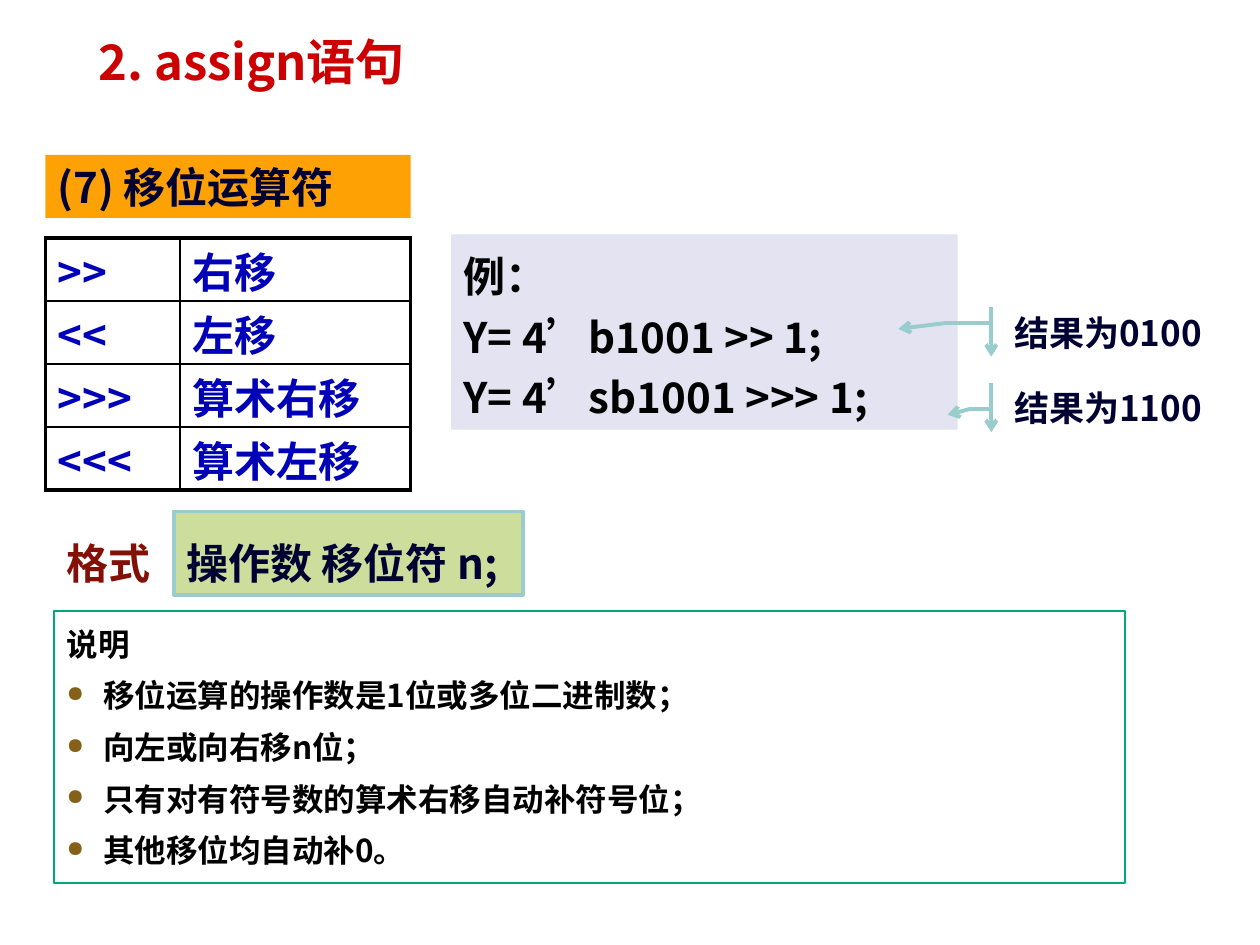
import pptx
import pptx.util
import pptx.dml.color
import pptx.enum.shapes
import pptx.enum.text
import pptx.oxml
import pptx.oxml.ns
from pptx.util import Inches

FONT = "Noto Sans CJK SC"
COLOURS = {
    "navy": "000032", "black": "000000", "blue": "0000B8", "red": "CC0000",
    "maroon": "821006", "orange": "FEA104", "lavender": "E3E3F1",
    "green": "CDDD9C", "aqua": "99CCCD", "teal": "00A87C", "bullet": "856018",
}
OPERATORS = [(">>", "右移"), ("<<", "左移"), (">>>", "算术右移"), ("<<<", "算术左移")]
NOTES = [
    "移位运算的操作数是1位或多位二进制数；",
    "向左或向右移n位；",
    "只有对有符号数的算术右移自动补符号位；",
    "其他移位均自动补0。",
]
RECTANGLE = pptx.enum.shapes.MSO_SHAPE.RECTANGLE
CALLOUT = pptx.enum.shapes.MSO_SHAPE.LINE_CALLOUT_2_ACCENT_BAR
ALIGN = pptx.enum.text.PP_ALIGN
ANCHOR = pptx.enum.text.MSO_ANCHOR


def make_element(tag, attributes, content=""):
    namespace = pptx.oxml.ns.nsdecls("a")
    return pptx.oxml.parse_xml(f"<a:{tag} {namespace} {attributes}>{content}</a:{tag}>")


def solid_colour(name):
    return f'<a:srgbClr val="{COLOURS[name]}"/>'


def rgb(name):
    return pptx.dml.color.RGBColor.from_string(COLOURS[name])


def add_run(paragraph, text, size, colour):
    run = paragraph.add_run()
    run.text = text
    run.font.size = pptx.util.Pt(size)
    run.font.bold = True
    run.font.name = FONT
    run.font.color.rgb = rgb(colour)
    properties = run._r.get_or_add_rPr()
    properties.set("lang", "zh-CN")
    properties.append(make_element("ea", f'typeface="{FONT}"'))


def write_lines(frame, lines, size, colour, spacing=1.0, before=0,
                align=ALIGN.LEFT, anchor=ANCHOR.TOP):
    frame.word_wrap = True
    frame.vertical_anchor = anchor
    for index, line in enumerate(lines):
        paragraph = frame.add_paragraph() if index else frame.paragraphs[0]
        paragraph.alignment = align
        paragraph.line_spacing = spacing
        paragraph.space_before = pptx.util.Pt(before if index else 0)
        add_run(paragraph, line, size, colour)


def add_box(slide, bounds, fill=None, line=None, width=2.25, kind=RECTANGLE):
    shape = slide.shapes.add_shape(kind, *map(Inches, bounds))
    shape.shadow.inherit = False
    if fill:
        shape.fill.solid()
        shape.fill.fore_color.rgb = rgb(fill)
    else:
        shape.fill.background()
    if line:
        shape.line.color.rgb = rgb(line)
        shape.line.width = pptx.util.Pt(width)
    else:
        shape.line.fill.background()
    return shape


def add_callout(slide, bounds, adjustments, text):
    shape = add_box(slide, bounds, line="aqua", kind=CALLOUT)
    for index, value in enumerate(adjustments):
        shape.adjustments[index] = value
    shape.line._get_or_add_ln().append(make_element("tailEnd", 'type="arrow"'))
    write_lines(shape.text_frame, [text], 20, "navy", anchor=ANCHOR.MIDDLE)


def set_borders(cell, outer_sides):
    properties = cell._tc.get_or_add_tcPr()
    fill = f'<a:solidFill>{solid_colour("black")}</a:solidFill>'
    for index, side in enumerate("LRTB"):
        width = pptx.util.Pt(2.25 if side in outer_sides else 1)
        properties.insert(index, make_element(f"ln{side}", f'w="{width}"', fill))


def add_operator_table(slide):
    count = len(OPERATORS)
    table = slide.shapes.add_table(
        count, 2, Inches(0.36), Inches(1.89), Inches(2.9), Inches(2)).table
    table.first_row = table.horz_banding = False
    for column, width in zip(table.columns, (1.07, 1.83)):
        column.width = Inches(width)
    for row, texts in enumerate(OPERATORS):
        for column, text in enumerate(texts):
            cell = table.cell(row, column)
            cell.fill.background()
            cell.margin_top, cell.margin_bottom = Inches(0.01), 0
            write_lines(cell.text_frame, [text], 24, "blue")
            cell.vertical_anchor = ANCHOR.BOTTOM
            outer = "LR"[column] + ("T" if row == 0 else "")
            set_borders(cell, outer + ("B" if row == count - 1 else ""))


def add_notes_box(slide):
    frame = add_box(slide, (0.43, 4.85, 8.5, 2.16), line="teal", width=0.75).text_frame
    write_lines(frame, ["说明", *NOTES], 18, "black", 1.2, 3.6, ALIGN.JUSTIFY)
    for paragraph in frame.paragraphs[1:]:
        properties = paragraph._p.get_or_add_pPr()
        properties.set("marL", str(Inches(0.29)))
        properties.set("indent", str(-Inches(0.29)))
        properties.append(make_element("buClr", "", solid_colour("bullet")))
        properties.append(make_element("buSzPct", 'val="70000"'))
        properties.append(make_element("buChar", 'char="●"'))


def add_title(slide):
    title = slide.shapes.title
    title.left, title.top, title.width, title.height = map(Inches, (0.68, 0.01, 8.52, 0.76))
    write_lines(title.text_frame, ["2. assign语句"], 28, "red", anchor=ANCHOR.BOTTOM)


def main():
    presentation = pptx.Presentation()
    presentation.slide_width, presentation.slide_height = Inches(10), Inches(7.5)
    slide = presentation.slides.add_slide(presentation.slide_layouts[5])
    add_title(slide)

    heading = add_box(slide, (0.36, 1.23, 2.9, 0.5), "orange")
    write_lines(heading.text_frame, ["(7) 移位运算符"], 24, "navy")
    add_operator_table(slide)

    example = add_box(slide, (3.58, 1.86, 4.02, 1.55), "lavender")
    write_lines(example.text_frame, ["例：", "Y= 4’b1001 >> 1;", "Y= 4’sb1001 >>> 1;"],
                24, "black", 1.2)
    add_callout(slide, (7.95, 2.44, 2.13, 0.39),
                (0.317, -0.039, 0.317, -0.209, 0.436, -0.385), "结果为0100")
    add_callout(slide, (7.95, 3.04, 2.01, 0.39),
                (0.529, -0.041, 0.529, -0.126, 0.647, -0.214), "结果为1100")
    add_notes_box(slide)

    syntax = add_box(slide, (1.38, 4.06, 2.77, 0.66), "green", "aqua")
    write_lines(syntax.text_frame, ["操作数 移位符 n;"], 24, "navy", 1.4)
    label = slide.shapes.add_textbox(*map(Inches, (0.43, 4.06, 1.34, 0.66)))
    write_lines(label.text_frame, ["格式"], 24, "maroon", 1.4)
    presentation.save("out.pptx")


if __name__ == "__main__":
    main()
